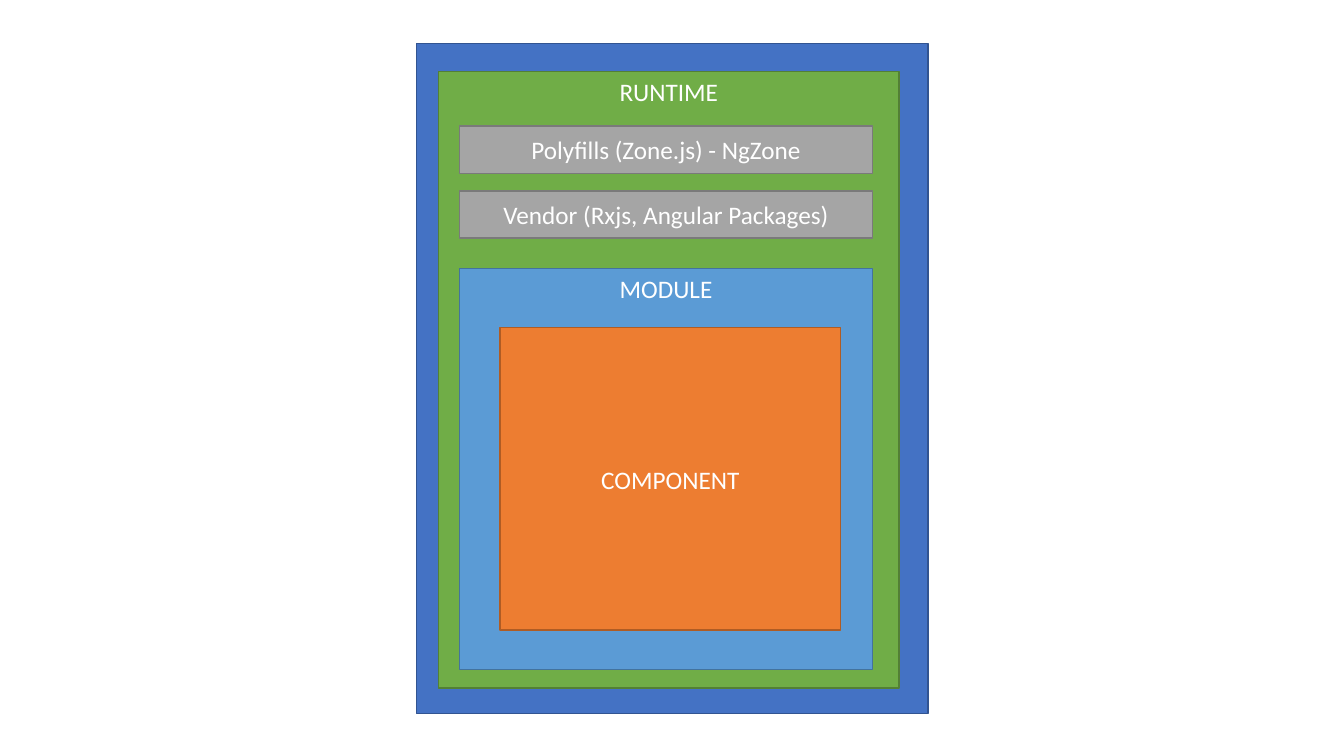
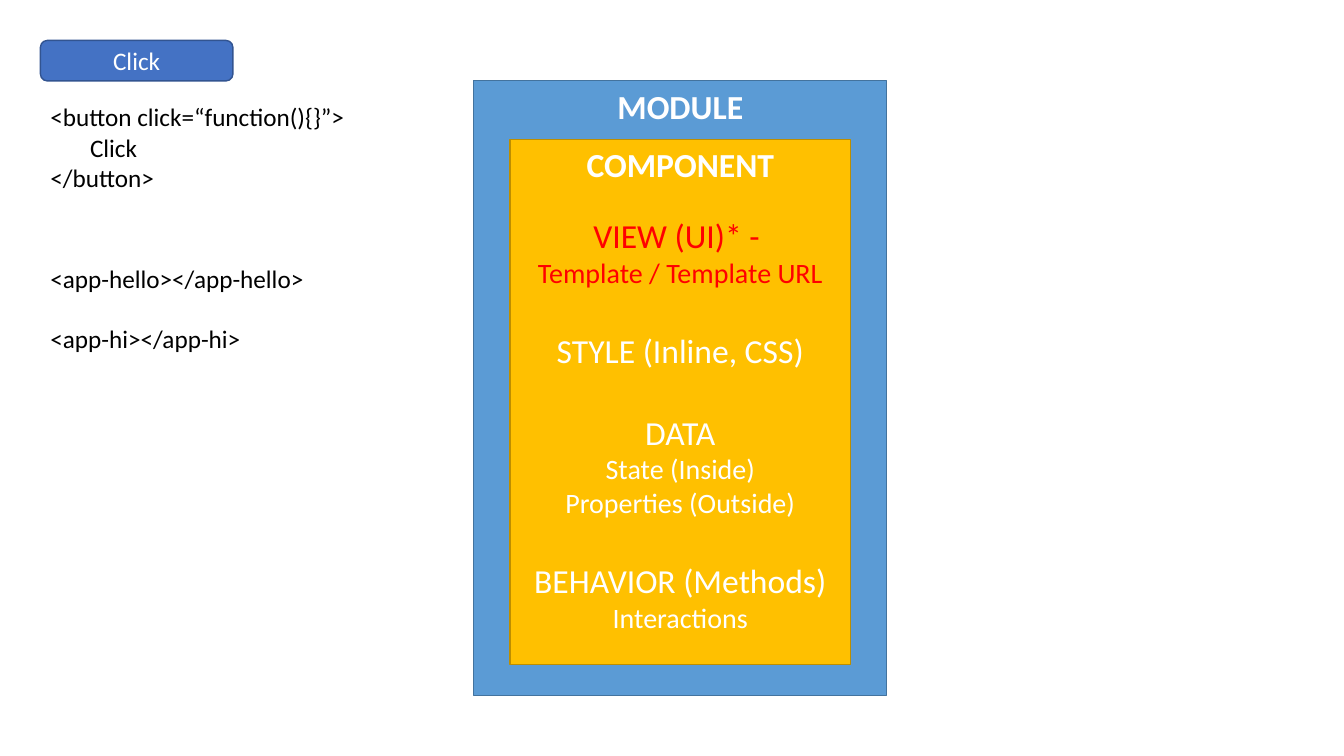
from dataclasses import dataclass

from pptx import Presentation
from pptx.dml.color import RGBColor
from pptx.enum.shapes import MSO_SHAPE
from pptx.enum.text import MSO_ANCHOR, MSO_AUTO_SIZE, PP_ALIGN
from pptx.slide import Slide
from pptx.text.text import TextFrame
from pptx.util import Cm, Pt

RECT, ROUNDED = MSO_SHAPE.RECTANGLE, MSO_SHAPE.ROUNDED_RECTANGLE
TOP, MIDDLE = MSO_ANCHOR.TOP, MSO_ANCHOR.MIDDLE
LEFT, CENTER = PP_ALIGN.LEFT, PP_ALIGN.CENTER
BLANK_LAYOUT = 6


@dataclass(frozen=True)
class Paint:
    fill: str
    line: str


@dataclass(frozen=True)
class Theme:
    font: str = "Calibri"
    body: int = 18
    detail: int = 20
    heading: int = 24
    white: str = "FFFFFF"
    black: str = "000000"
    red: str = "FF0000"
    blue: Paint = Paint("4472C4", "325491")
    green: Paint = Paint("70AD47", "538035")
    gray: Paint = Paint("A5A5A5", "7A7A7A")
    sky: Paint = Paint("5B9BD5", "43739E")
    orange: Paint = Paint("ED7D31", "AF5C24")
    gold: Paint = Paint("FFC000", "BD8E00")


THEME = Theme()


@dataclass(frozen=True)
class Line:
    """One paragraph; before is in points, indent in centimetres."""
    text: str
    size: int = THEME.body
    color: str = THEME.white
    bold: bool = False
    before: float = 0
    indent: float = 0


@dataclass(frozen=True)
class Box:
    """A filled shape placed in centimetres."""
    left: float
    top: float
    width: float
    height: float
    paint: Paint
    lines: tuple[Line, ...] = ()
    anchor: MSO_ANCHOR = TOP
    shape: MSO_SHAPE = RECT


@dataclass(frozen=True)
class Code:
    """A block of source code placed in centimetres."""
    top: float
    width: float
    height: float
    lines: tuple[Line, ...]


def code_line(text: str, indent: float = 0) -> Line:
    return Line(text, color=THEME.black, indent=indent)


BAR_LEFT, BAR_WIDTH, BAR_HEIGHT = 11.58, 10.41, 1.19
BAR_TOP, BAR_PITCH = 3.18, 1.63
BARS = ("Polyfills (Zone.js) - NgZone", "Vendor (Rxjs, Angular Packages)")
COMPONENT_WIDTH = 8.59
MARGIN = 1.02
GAP = 29.3  # one heading line in points

RUNTIME_BOXES = (
    Box(10.49, 1.09, 12.9, 16.89, THEME.blue),
    Box(11.05, 1.8, 11.61, 15.54, THEME.green, (Line("RUNTIME"),)),
    *(Box(BAR_LEFT, BAR_TOP + i * BAR_PITCH, BAR_WIDTH, BAR_HEIGHT, THEME.gray,
          (Line(label),), MIDDLE) for i, label in enumerate(BARS)),
    Box(BAR_LEFT, 6.76, BAR_WIDTH, 10.11, THEME.sky, (Line("MODULE"),)),
    Box(12.6, 8.26, COMPONENT_WIDTH, 7.62, THEME.orange, (Line("COMPONENT"),), MIDDLE),
)

COMPONENT_LINES = (
    Line("COMPONENT", THEME.heading, bold=True),
    Line("VIEW (UI)* - ", THEME.heading, THEME.red, before=22),
    Line("Template / Template URL", THEME.detail, THEME.red),
    Line("STYLE (Inline, CSS)", THEME.heading, before=GAP),
    Line("DATA", THEME.heading, before=GAP),
    Line("State (Inside)", THEME.detail),
    Line("Properties (Outside)", THEME.detail),
    Line("BEHAVIOR (Methods)", THEME.heading, before=GAP),
    Line("Interactions", THEME.detail),
)

COMPONENT_BOXES = (
    Box(11.94, 2.03, BAR_WIDTH, 15.49, THEME.sky,
        (Line("MODULE", THEME.heading, bold=True),)),
    Box(12.85, 3.51, COMPONENT_WIDTH, 13.23, THEME.gold, COMPONENT_LINES),
    Box(MARGIN, MARGIN, 4.85, 1.02, THEME.blue, (Line("Click"),), MIDDLE, ROUNDED),
)

CODE_BLOCKS = (
    Code(2.44, 8.03, 2.57, (code_line("<button click=“function(){}”>"),
                            code_line("Click", indent=1),
                            code_line("</button>"))),
    Code(6.5, 6.99, 1.02, (code_line("<app-hello></app-hello>"),)),
    Code(8.03, 5.36, 1.02, (code_line("<app-hi></app-hi>"),)),
)


def write_lines(tf: TextFrame, lines: tuple[Line, ...], *, align: PP_ALIGN) -> None:
    for i, line in enumerate(lines):
        p = tf.add_paragraph() if i else tf.paragraphs[0]
        p.alignment = align
        if line.before:
            p.space_before = Pt(line.before)
        if line.indent:
            p._p.get_or_add_pPr().set("marL", str(Cm(line.indent)))
        r = p.add_run()
        r.text = line.text
        r.font.name = THEME.font
        r.font.size = Pt(line.size)
        r.font.bold = line.bold
        r.font.color.rgb = RGBColor.from_string(line.color)


def add_box(s: Slide, box: Box) -> None:
    sp = s.shapes.add_shape(box.shape, Cm(box.left), Cm(box.top),
                            Cm(box.width), Cm(box.height))
    sp.shadow.inherit = False
    sp.fill.solid()
    sp.fill.fore_color.rgb = RGBColor.from_string(box.paint.fill)
    sp.line.color.rgb = RGBColor.from_string(box.paint.line)
    sp.line.width = Pt(1)
    tf = sp.text_frame
    tf.word_wrap = True
    tf.vertical_anchor = box.anchor
    write_lines(tf, box.lines, align=CENTER)


def add_code(s: Slide, code: Code) -> None:
    sp = s.shapes.add_textbox(Cm(MARGIN), Cm(code.top), Cm(code.width), Cm(code.height))
    tf = sp.text_frame
    tf.word_wrap = False
    tf.auto_size = MSO_AUTO_SIZE.SHAPE_TO_FIT_TEXT
    write_lines(tf, code.lines, align=LEFT)


def add_slide(prs: Presentation, boxes: tuple[Box, ...],
              code_blocks: tuple[Code, ...] = ()) -> None:
    s = prs.slides.add_slide(prs.slide_layouts[BLANK_LAYOUT])
    for box in boxes:
        add_box(s, box)
    for code in code_blocks:
        add_code(s, code)


def main() -> None:
    prs = Presentation()
    prs.slide_width, prs.slide_height = Cm(33.87), Cm(19.05)
    add_slide(prs, RUNTIME_BOXES)
    add_slide(prs, COMPONENT_BOXES, CODE_BLOCKS)
    prs.save("out.pptx")


if __name__ == "__main__":
    main()
